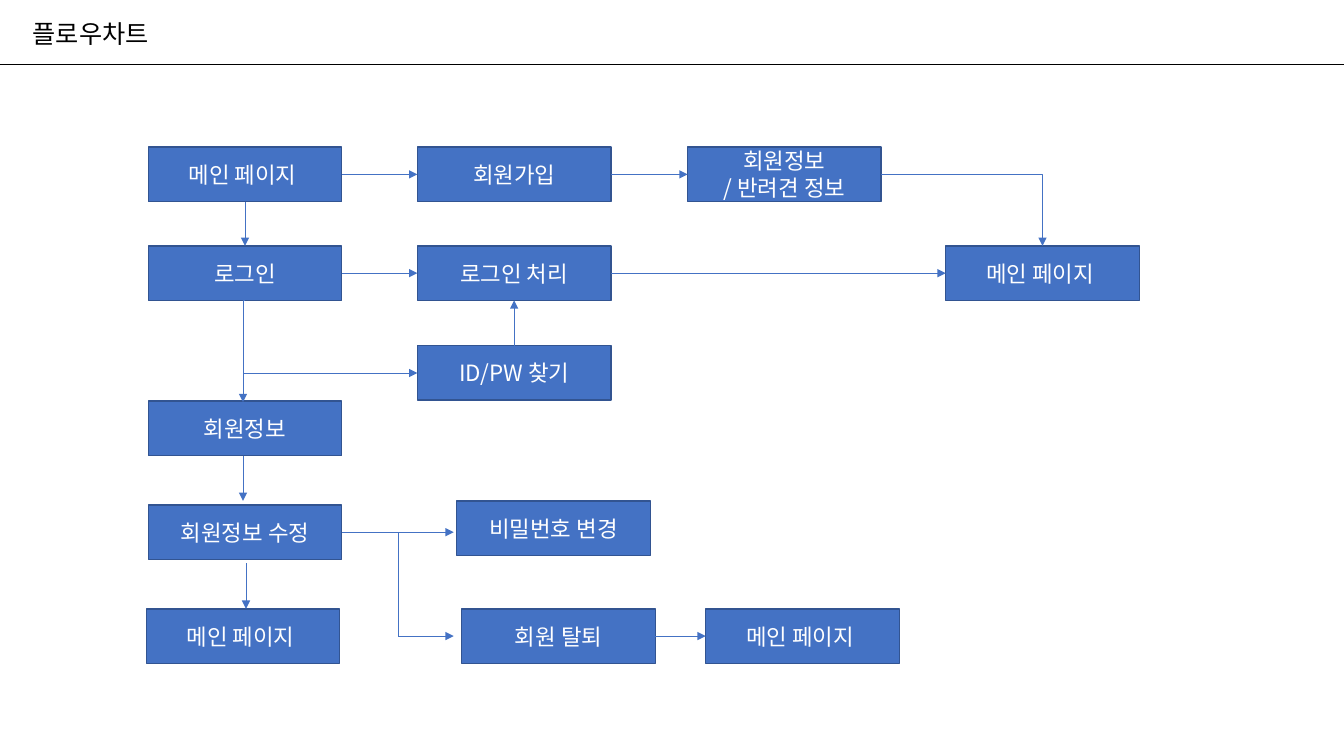
from pptx import Presentation
from pptx.dml.color import RGBColor
from pptx.enum.shapes import MSO_CONNECTOR, MSO_SHAPE
from pptx.enum.text import MSO_ANCHOR, PP_ALIGN
from pptx.oxml.ns import qn
from pptx.util import Inches, Pt
from lxml import etree

RECTANGLE = MSO_SHAPE.RECTANGLE
STRAIGHT, ELBOW = MSO_CONNECTOR.STRAIGHT, MSO_CONNECTOR.ELBOW
MIDDLE, CENTER = MSO_ANCHOR.MIDDLE, PP_ALIGN.CENTER
FONT = "Noto Sans CJK KR"
BLUE, NAVY, WHITE, BLACK = "4472C4", "325491", "FFFFFF", "000000"
TOP, LEFT, BOTTOM, RIGHT = range(4)
STEP_WIDTH, STEP_HEIGHT = 1.92, 0.54

STEPS = {
    "main": (0.02, 0, "메인 페이지 "),
    "join": (2.69, 0, "회원가입"),
    "profile": (5.37, 0, "회원정보\n/ 반려견 정보"),
    "login": (0.02, 0.98, "로그인"),
    "login_check": (2.69, 0.98, "로그인 처리"),
    "main_after_login": (7.93, 0.98, "메인 페이지 "),
    "find_account": (2.69, 1.97, "ID/PW 찾기"),
    "member": (0.02, 2.52, "회원정보"),
    "edit_member": (0.02, 3.55, "회원정보 수정"),
    "password": (3.08, 3.51, "비밀번호 변경"),
    "main_after_edit": (0, 4.58, "메인 페이지 "),
    "withdraw": (3.13, 4.58, "회원 탈퇴"),
    "main_after_withdraw": (5.55, 4.58, "메인 페이지 "),
}
LINKS = [
    ("main", RIGHT, "join", LEFT),
    ("join", RIGHT, "profile", LEFT),
    ("main", BOTTOM, "login", TOP),
    ("login", RIGHT, "login_check", LEFT),
    ("login_check", RIGHT, "main_after_login", LEFT),
    ("find_account", TOP, "login_check", BOTTOM),
    ("withdraw", RIGHT, "main_after_withdraw", LEFT),
]
FREE_ARROWS = [
    (0.96, 2.07, 0.96, 2.53),
    (0.96, 3.06, 0.96, 3.51),
    (0.99, 4.13, 0.99, 4.58),
    (1.94, 3.82, 3.05, 3.82),
    (2.5, 4.85, 3.05, 4.85),
]
BRANCH = (2.5, 3.82, 2.5, 4.85)


def rgb(value):
    """Return the colour for a hex string."""
    return RGBColor.from_string(value)


def style_text(frame, size, color):
    """Centre every paragraph and set its font."""
    for paragraph in frame.paragraphs:
        paragraph.alignment = CENTER
        font = paragraph.font
        font.name, font.size = FONT, Pt(size)
        font.color.rgb = rgb(color)
        properties = paragraph._p.get_or_add_pPr().find(qn("a:defRPr"))
        etree.SubElement(properties, qn("a:ea")).set("typeface", FONT)


def add_line(slide, start, end, color=BLUE, arrow=True, kind=STRAIGHT):
    """Draw a thin connector between two points in inches."""
    line = slide.shapes.add_connector(kind, *map(Inches, (*start, *end)))
    line.line.color.rgb = rgb(color)
    line.line.width = Pt(0.5)
    if arrow:
        etree.SubElement(line.line._get_or_add_ln(), qn("a:tailEnd")).set("type", "triangle")
    etree.SubElement(line._element.spPr, qn("a:effectLst"))
    return line


def add_elbow(slide, start, end, preset, bend=None):
    """Draw a bent arrow with the given preset and bend position."""
    elbow = add_line(slide, start, end, kind=ELBOW)
    geometry = elbow._element.spPr.find(qn("a:prstGeom"))
    geometry.set("prst", preset)
    if bend is not None:
        guide = etree.SubElement(geometry.find(qn("a:avLst")), qn("a:gd"))
        guide.set("name", "adj1")
        guide.set("fmla", f"val {round(bend * 100000)}")


def add_step(slide, left, top, label):
    """Draw one labelled step of the flow."""
    step = slide.shapes.add_shape(
        RECTANGLE, *map(Inches, (left, top, STEP_WIDTH, STEP_HEIGHT)))
    step.shadow.inherit = False
    step.fill.solid()
    step.fill.fore_color.rgb = rgb(BLUE)
    step.line.color.rgb = rgb(NAVY)
    step.line.width = Pt(1)
    step.text_frame.text = label
    step.text_frame.word_wrap = True
    step.text_frame.vertical_anchor = MIDDLE
    style_text(step.text_frame, 16, WHITE)
    return step


def add_header(slide, left, top, width, height):
    """Place the title and the rule under it."""
    title = slide.shapes.title
    title.left, title.top = Inches(left - 0.11), Inches(top + 0.13)
    title.width, title.height = Inches(2.02), Inches(0.4)
    title.text_frame.text = "플로우차트"
    title.text_frame.word_wrap = True
    title.text_frame.vertical_anchor = MIDDLE
    style_text(title.text_frame, 18, BLACK)
    add_line(slide, (left, top + height), (left + width, top + height), BLACK, arrow=False)


def add_flow(slide, left, top):
    """Place the steps and arrows from the given corner."""
    def point(x, y):
        """Shift a point of the flow onto the slide."""
        return left + x, top + y

    steps = {name: add_step(slide, *point(x, y), label)
             for name, (x, y, label) in STEPS.items()}
    for source, source_side, target, target_side in LINKS:
        link = add_line(slide, (left, top), (left, top))
        link.begin_connect(steps[source], source_side)
        link.end_connect(steps[target], target_side)
    for x1, y1, x2, y2 in FREE_ARROWS:
        add_line(slide, point(x1, y1), point(x2, y2))
    add_line(slide, point(*BRANCH[:2]), point(*BRANCH[2:]), arrow=False)
    add_elbow(slide, point(0.98, 1.52), point(2.69, 2.24), "bentConnector3", -0.011)
    add_elbow(slide, point(7.29, 0.27), point(8.89, 0.98), "bentConnector2")


def main():
    """Build the flowchart slide."""
    deck = Presentation()
    deck.slide_width, deck.slide_height = Inches(13.33), Inches(7.5)
    slide = deck.slides.add_slide(deck.slide_layouts.get_by_name("Title Only"))
    add_header(slide, 0, 0, 13.33, 0.64)
    add_flow(slide, 1.45, 1.46)
    deck.save("out.pptx")


if __name__ == "__main__":
    main()
